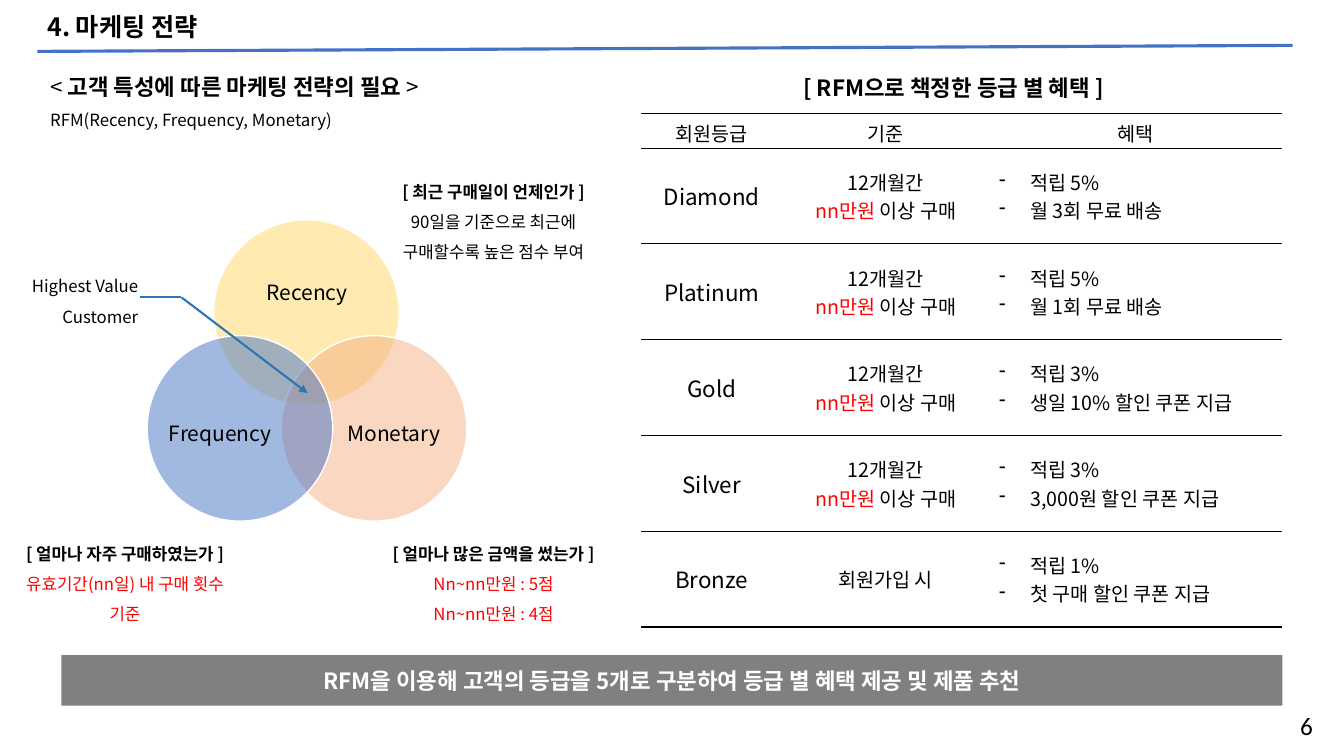
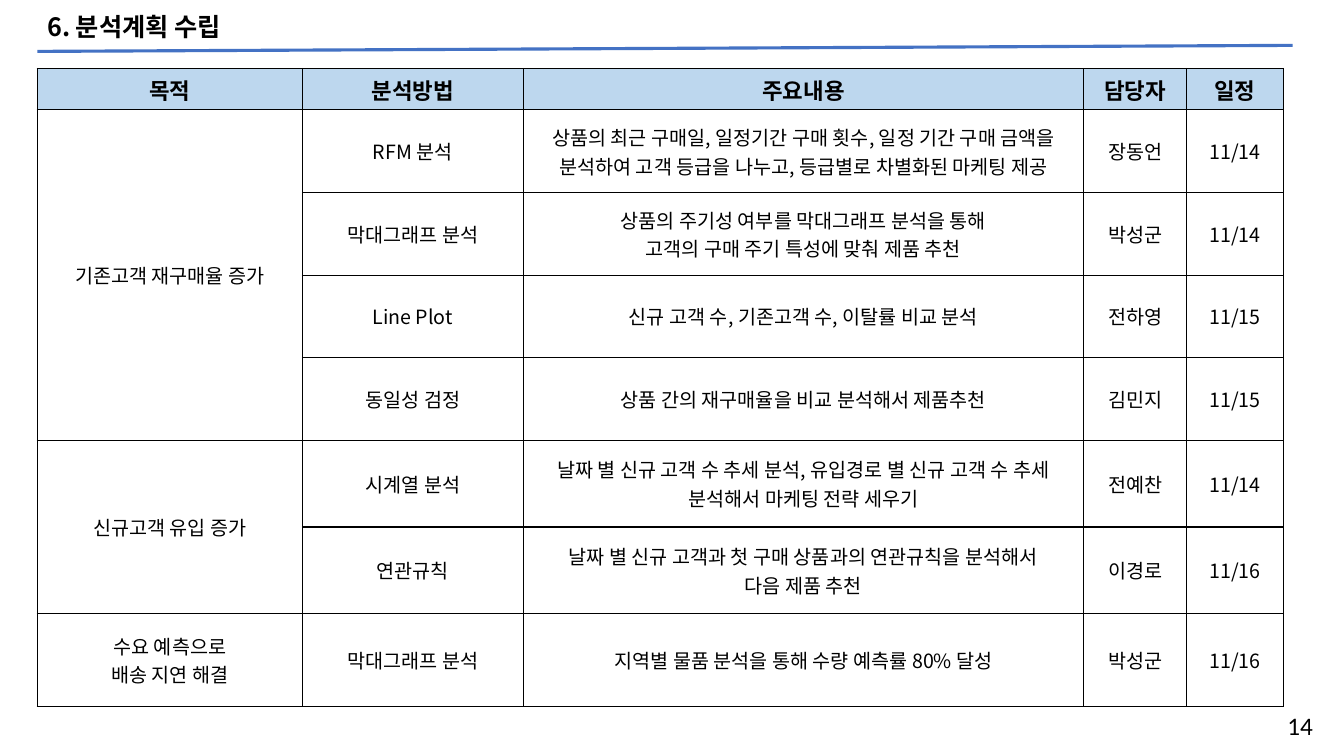
from collections import namedtuple
from dataclasses import dataclass, replace

from lxml import etree
from pptx import Presentation
from pptx import util as u
from pptx.dml import color as dml
from pptx.enum import shapes, text
from pptx.oxml import ns

PX = 9144
COLORS = {
    "ink": "000000", "white": "FFFFFF", "rule": "4472C4", "alert": "FF0000",
    "band": "808080", "header": "BDD7EE", "leader": "2E75B6",
    "recency": "FFD966", "monetary": "F4B183", "frequency": "4472C4",
}
KOREAN = "Noto Sans CJK KR"
LATIN = "Calibri"
LEFT, CENTER, RIGHT = text.PP_ALIGN.LEFT, text.PP_ALIGN.CENTER, text.PP_ALIGN.RIGHT
TOP, MIDDLE = text.MSO_ANCHOR.TOP, text.MSO_ANCHOR.MIDDLE
PLAIN_TABLE = "{2D5ABB26-0587-4C30-8999-92F81FD0307C}"

Box = namedtuple("Box", "left top width height")


@dataclass(frozen=True)
class Style:
    size: int = 14
    bold: bool = False
    color: str = "ink"
    font: str = KOREAN
    align: int = CENTER
    spacing: float = 1.0
    dash: bool = False


CELL = Style()
TITLE = Style(18, bold=True, align=LEFT, spacing=0.9)
NUMBER = Style(18, font=LATIN, align=RIGHT)
HEADING = Style(16, bold=True, align=LEFT, spacing=1.5)
CAPTION = Style(12, spacing=1.5)
CAPTION_HEAD = replace(CAPTION, bold=True)
CAPTION_ALERT = replace(CAPTION, color="alert")
LABEL = Style(15, spacing=0.9)


def emu(*lengths):
    return [u.Emu(length * PX) for length in lengths]


def inside(box, left, top, width, height):
    return Box(box.left + left, box.top + top, width, height)


def rgb(name):
    return dml.RGBColor.from_string(COLORS[name])


def add_xml(parent, tag, **attributes):
    return etree.SubElement(parent, ns.qn(tag), attributes)


def write(frame, *lines):
    for index, (spans, style) in enumerate(lines):
        para = frame.add_paragraph() if index else frame.paragraphs[0]
        para.alignment = style.align
        para.line_spacing = style.spacing
        if style.dash:
            props = para._p.get_or_add_pPr()
            props.set("marL", str(31 * PX))
            props.set("indent", str(-31 * PX))
            add_xml(props, "a:buFontTx")
            add_xml(props, "a:buChar", char="-")
        font = para.font
        font.size, font.bold, font.name = u.Pt(style.size), style.bold, style.font
        font.color.rgb = rgb(style.color)
        add_xml(para._p.pPr.find(ns.qn("a:defRPr")), "a:ea", typeface=KOREAN)
        for part in [(spans, {})] if isinstance(spans, str) else spans:
            span = para.add_run()
            span.text, changes = part
            if "bold" in changes:
                span.font.bold = changes["bold"]
            if "color" in changes:
                span.font.color.rgb = rgb(changes["color"])


def add_text(parent, box, *lines, anchor=TOP, inset=True, wrap=True, grow=False):
    shape = parent.add_textbox(*emu(*box))
    frame = shape.text_frame
    frame.word_wrap = wrap
    frame.vertical_anchor = anchor
    if grow:
        frame.auto_size = text.MSO_AUTO_SIZE.SHAPE_TO_FIT_TEXT
    if not inset:
        frame.margin_left = frame.margin_top = frame.margin_right = frame.margin_bottom = 0
    write(frame, *lines)


def add_shape(parent, kind, box, color):
    shape = parent.add_shape(kind, *emu(*box))
    shape.shadow.inherit = False
    shape.fill.solid()
    shape.fill.fore_color.rgb = rgb(color)
    return shape


def add_line(parent, start, end, color, weight, arrow=False):
    line = parent.add_connector(shapes.MSO_CONNECTOR.STRAIGHT, *emu(*start, *end))
    line.line.color.rgb = rgb(color)
    line.line.width = u.Pt(weight)
    if arrow:
        add_xml(line.line._get_or_add_ln(), "a:tailEnd", type="triangle")
    add_xml(line._element.spPr, "a:effectLst")


def add_grid(page, box, columns, rows, sides):
    table = page.shapes.add_table(len(rows), len(columns), *emu(*box)).table
    table.first_row = table.horz_banding = False
    table._tbl.tblPr.find(ns.qn("a:tableStyleId")).text = PLAIN_TABLE
    for column, width in zip(table.columns, emu(*columns)):
        column.width = width
    for row, height in zip(table.rows, emu(*rows)):
        row.height = height
    for cell in table.iter_cells():
        cell.vertical_anchor = MIDDLE
        props = cell._tc.get_or_add_tcPr()
        for side in sides:
            edge = add_xml(props, f"a:ln{side}", w=str(u.Pt(1)))
            add_xml(add_xml(edge, "a:solidFill"), "a:srgbClr", val=COLORS["ink"])
        cell.fill.background()
    return table


def add_page(deck, title, number):
    page = deck.slides.add_slide(deck.slide_layouts[6])
    add_text(page.shapes, Box(37, 8, 914, 41), (title, TITLE), anchor=MIDDLE)
    add_line(page.shapes, (37, 51), (1282, 45), "rule", 2.25)
    add_text(page.shapes, Box(1214, 700, 98, 41), (number, NUMBER), grow=True)
    return page


def add_venn(page, box):
    group = page.shapes.add_group_shape().shapes
    circles = [
        ("Recency", "recency", (66, 0), (91, 32, 135, 83)),
        ("Monetary", "monetary", (133, 115), (189, 163, 111, 101)),
        ("Frequency", "frequency", (0, 115), (17, 163, 111, 101)),
    ]
    for name, color, corner, label in circles:
        circle = add_shape(group, shapes.MSO_SHAPE.OVAL, inside(box, *corner, 184, 184), color)
        circle.line.color.rgb = rgb("white")
        circle.line.width = u.Pt(1)
        tint = circle._element.spPr.find(ns.qn("a:solidFill"))[0]
        add_xml(tint, "a:alpha", val="50000")
        add_text(group, inside(box, *label), (name, LABEL), anchor=MIDDLE, inset=False)


def add_customer_traits(page, box):
    plain = {"bold": False}
    heading = [("< ", plain), ("고객 특성에 따른 마케팅 전략의 필요", {}), (" >", plain)]
    add_text(page.shapes, inside(box, 30, 0, 414, 77), (heading, HEADING),
             ("RFM(Recency, Frequency, Monetary)", replace(CAPTION, align=LEFT)))
    add_venn(page, inside(box, 136, 164, 317, 299))
    captions = [
        ((369, 111, 221, 98), ("[ 최근 구매일이 언제인가 ]", CAPTION_HEAD),
         ("90일을 기준으로 최근에 구매할수록 높은 점수 부여", CAPTION)),
        ((363, 470, 233, 98), ("[ 얼마나 많은 금액을 썼는가 ]", CAPTION_HEAD),
         ("Nn~nn만원 : 5점", CAPTION_ALERT), ("Nn~nn만원 : 4점", CAPTION_ALERT)),
        ((0, 470, 228, 98), ("[ 얼마나 자주 구매하였는가 ]", CAPTION_HEAD),
         ("유효기간(nn일) 내 구매 횟수 기준", CAPTION_ALERT)),
        ((0, 205, 137, 68), ("Highest Value Customer", replace(CAPTION, align=RIGHT))),
    ]
    for place, *lines in captions:
        add_text(page.shapes, inside(box, *place), *lines, grow=True)
    start, bend, tip = [(box.left + x, box.top + y) for x, y in ((129, 241), (170, 241), (295, 336))]
    add_line(page.shapes, bend, tip, "leader", 1.5, arrow=True)
    add_line(page.shapes, start, bend, "leader", 1.5)


def add_benefits(page, box):
    add_text(page.shapes, inside(box, 151, 0, 334, 47),
             ("[ RFM으로 책정한 등급 별 혜택 ]", HEADING), anchor=MIDDLE, wrap=False, grow=True)
    grades = [
        ("Diamond", "적립 5%", "월 3회 무료 배송"),
        ("Platinum", "적립 5%", "월 1회 무료 배송"),
        ("Gold", "적립 3%", "생일 10% 할인 쿠폰 지급"),
        ("Silver", "적립 3%", "3,000원 할인 쿠폰 지급"),
        ("Bronze", "적립 1%", "첫 구매 할인 쿠폰 지급"),
    ]
    spend = [("nn만원", {"color": "alert"}), (" 이상 구매", {})]
    table = add_grid(page, inside(box, 0, 56, 636, 509), (140, 205, 291),
                     [34] + [95] * len(grades), "TB")
    for column, name in enumerate(("회원등급", "기준", "혜택")):
        write(table.cell(0, column).text_frame, (name, CELL))
    for row, (grade, *benefits) in enumerate(grades, 1):
        rule = [("회원가입 시", CELL)] if grade == "Bronze" else [("12개월간", CELL), (spend, CELL)]
        write(table.cell(row, 0).text_frame, (grade, replace(CELL, size=16)))
        write(table.cell(row, 1).text_frame, *rule)
        write(table.cell(row, 2).text_frame,
              *[(benefit, replace(CELL, align=LEFT, dash=True)) for benefit in benefits])


def add_summary(page, box):
    band = add_shape(page.shapes, shapes.MSO_SHAPE.RECTANGLE, box, "band")
    band.line.fill.background()
    band.text_frame.word_wrap = True
    band.text_frame.vertical_anchor = MIDDLE
    write(band.text_frame, ("RFM을 이용해 고객의 등급을 5개로 구분하여 등급 별 혜택 제공 및 제품 추천",
                            Style(16, bold=True, color="white")))


def add_plan(page, box):
    goals = [
        (["기존고객 재구매율 증가"], 82, [
            ("RFM 분석", ["상품의 최근 구매일, 일정기간 구매 횟수, 일정 기간 구매 금액을 "
                        "분석하여 고객 등급을 나누고, 등급별로 차별화된 마케팅 제공"], "장동언", "11/14"),
            ("막대그래프 분석", ["상품의 주기성 여부를 막대그래프 분석을 통해",
                          "고객의 구매 주기 특성에 맞춰 제품 추천"], "박성군", "11/14"),
            ("Line Plot", ["신규 고객 수, 기존고객 수, 이탈률 비교 분석"], "전하영", "11/15"),
            ("동일성 검정", ["상품 간의 재구매율을 비교 분석해서 제품추천"], "김민지", "11/15"),
        ]),
        (["신규고객 유입 증가"], 86, [
            ("시계열 분석", ["날짜 별 신규 고객 수 추세 분석, 유입경로 별 신규 고객 수 추세 "
                        "분석해서 마케팅 전략 세우기"], "전예찬", "11/14"),
            ("연관규칙", ["날짜 별 신규 고객과 첫 구매 상품과의 연관규칙을 분석해서",
                      "다음 제품 추천"], "이경로", "11/16"),
        ]),
        (["수요 예측으로", "배송 지연 해결"], 92, [
            ("막대그래프 분석", ["지역별 물품 분석을 통해 수량 예측률 80% 달성"], "박성군", "11/16"),
        ]),
    ]
    heights = [41] + [height for _, height, tasks in goals for _ in tasks]
    table = add_grid(page, box, (263, 219, 556, 102, 96), heights, "LRTB")
    for column, name in enumerate(("목적", "분석방법", "주요내용", "담당자", "일정")):
        cell = table.cell(0, column)
        cell.fill.solid()
        cell.fill.fore_color.rgb = rgb("header")
        write(cell.text_frame, (name, Style(16, bold=True, font=LATIN)))
    row = 1
    for goal, _, tasks in goals:
        first = table.cell(row, 0)
        if len(tasks) > 1:
            first.merge(table.cell(row + len(tasks) - 1, 0))
        write(first.text_frame, *[(line, CELL) for line in goal])
        for method, details, owner, date in tasks:
            for column, lines in enumerate(([method], details, [owner], [date]), 1):
                write(table.cell(row, column).text_frame, *[(line, CELL) for line in lines])
            row += 1


def main():
    deck = Presentation()
    deck.slide_width, deck.slide_height = emu(1333, 750)
    strategy = add_page(deck, "4. 마케팅 전략", "6")
    add_customer_traits(strategy, Box(10, 54, 596, 568))
    add_benefits(strategy, Box(636, 57, 636, 565))
    add_summary(strategy, Box(61, 650, 1211, 50))
    plan = add_page(deck, "6. 분석계획 수립", "14")
    add_plan(plan, Box(37, 68, 1236, 631))
    deck.save("out.pptx")


if __name__ == "__main__":
    main()
